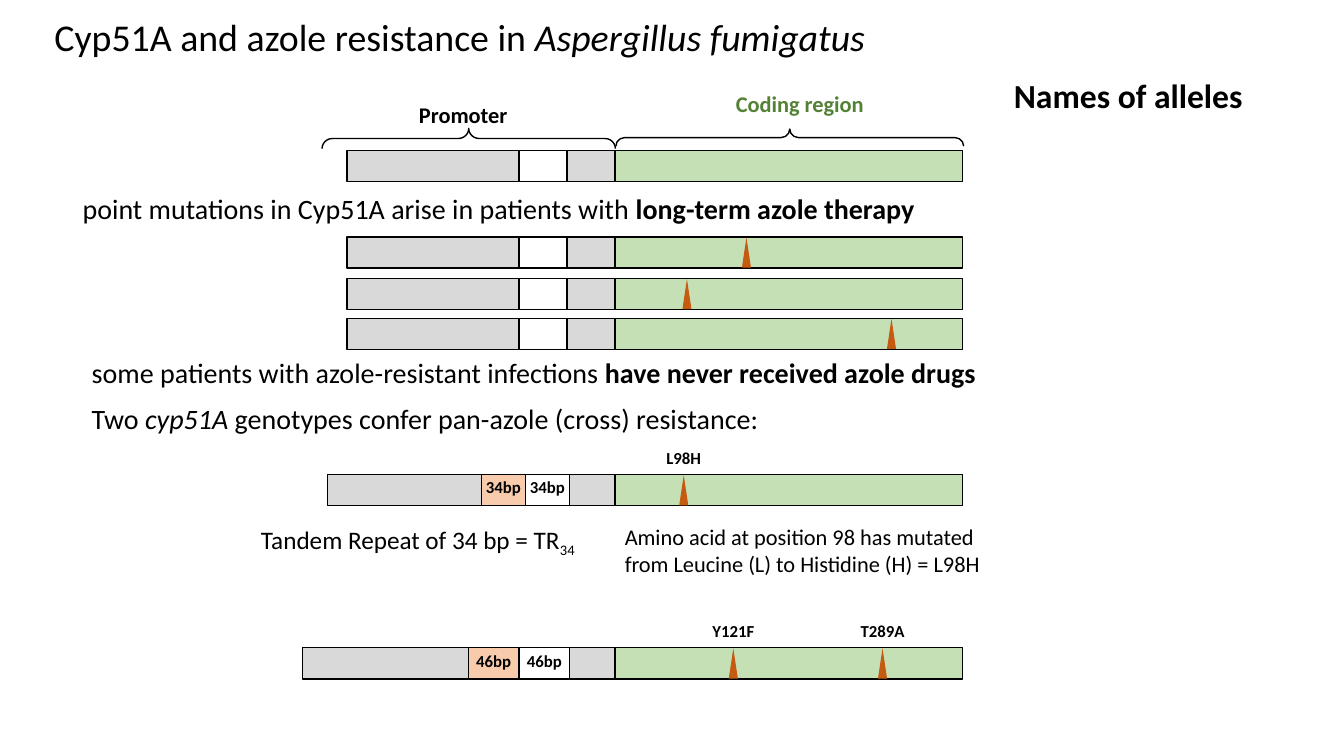
from pptx import Presentation
from pptx.dml.color import RGBColor
from pptx.enum import shapes, text
from pptx.util import Pt

BLACK = RGBColor(0x00, 0x00, 0x00)
GREY = RGBColor(0xD9, 0xD9, 0xD9)
GREEN = RGBColor(0xC5, 0xE0, 0xB4)
DARK_GREEN = RGBColor(0x54, 0x82, 0x35)
PEACH = RGBColor(0xF8, 0xCB, 0xAD)
ORANGE = RGBColor(0xC5, 0x5A, 0x11)

BAR_HEIGHT = 22.3
CODING_LEFT, CODING_RIGHT = 439.2, 687.6
MARKER_WIDTH = 6.5

deck = Presentation()
deck.slide_width, deck.slide_height = Pt(960), Pt(540)
page = deck.slides.add_slide(deck.slide_layouts[5])


def add_span(words, para, size=20, bold=False, italic=False, color=BLACK):
    span = para.add_run()
    span.text = words
    span.font.name = "Calibri"
    span.font.size = Pt(size)
    span.font.bold = bold
    span.font.italic = italic
    span.font.color.rgb = color
    return span


def add_label(words, left, top, width, height, align=text.PP_ALIGN.LEFT, wrap=False, **style):
    box = page.shapes.add_textbox(Pt(left), Pt(top), Pt(width), Pt(height))
    box.text_frame.word_wrap = wrap
    box.text_frame.auto_size = text.MSO_AUTO_SIZE.SHAPE_TO_FIT_TEXT
    para = box.text_frame.paragraphs[0]
    para.alignment = align
    add_span(words, para, **style)
    return box


title = page.shapes.title
title.left, title.top, title.width, title.height = Pt(31.7), Pt(-11.5), Pt(658), Pt(78.5)
title.text_frame.auto_size = text.MSO_AUTO_SIZE.NONE
title.text_frame.vertical_anchor = text.MSO_ANCHOR.MIDDLE
heading = title.text_frame.paragraphs[0]
heading.alignment = text.PP_ALIGN.LEFT
heading.line_spacing = 0.9
add_span("Cyp51A and azole resistance in ", heading, size=27)
add_span("Aspergillus fumigatus", heading, size=27, italic=True)

plain_edges = [248, 370.8, 405, CODING_LEFT, CODING_RIGHT]
plain_fills = [GREY, None, GREY, GREEN]
repeat_fills = [GREY, PEACH, None, GREY, GREEN]
genes = [
    (107.3, plain_edges, plain_fills, None, []),
    (169.2, plain_edges, plain_fills, None, [(533.2, None)]),
    (198.9, plain_edges, plain_fills, None, [(490.7, None)]),
    (227.3, plain_edges, plain_fills, None, [(636.8, None)]),
    (339, [234, 343.8, 375.3, 406.8, CODING_LEFT, CODING_RIGHT], repeat_fills,
     "34bp", [(488.4, "L98H")]),
    (462.7, [216, 334.5, 370.8, 406.8, CODING_LEFT, CODING_RIGHT], repeat_fills,
     "46bp", [(523.8, "Y121F"), (630.4, "T289A")]),
]
for top, edges, fills, repeat, mutations in genes:
    for left, right, fill in zip(edges, edges[1:], fills):
        segment = page.shapes.add_shape(
            shapes.MSO_SHAPE.RECTANGLE, Pt(left), Pt(top), Pt(right - left), Pt(BAR_HEIGHT))
        segment.shadow.inherit = False
        segment.line.color.rgb = BLACK
        segment.line.width = Pt(1)
        if fill is None:
            segment.fill.background()
        else:
            segment.fill.solid()
            segment.fill.fore_color.rgb = fill
        if repeat and fill in (PEACH, None):
            add_label(repeat, (left + right) / 2 - 20, top - 1.8, 40, 21.8,
                      align=text.PP_ALIGN.CENTER, size=12, bold=True)
    for center, name in mutations:
        marker = page.shapes.add_shape(
            shapes.MSO_SHAPE.ISOSCELES_TRIANGLE, Pt(center - MARKER_WIDTH / 2), Pt(top + 0.4),
            Pt(MARKER_WIDTH), Pt(21.6))
        marker.shadow.inherit = False
        marker.fill.solid()
        marker.fill.fore_color.rgb = ORANGE
        marker.line.fill.background()
        if name:
            add_label(name, center - 23, top - 23, 46, 21.8,
                      align=text.PP_ALIGN.CENTER, size=12, bold=True)

for left, top, width, height in [(327.6, -5.8, 14.4, 209.5), (558, -25.9, 12.2, 248.4)]:
    brace = page.shapes.add_shape(
        shapes.MSO_SHAPE.LEFT_BRACE, Pt(left), Pt(top), Pt(width), Pt(height))
    brace.rotation = 90
    brace.adjustments[0] = 0.516
    brace.shadow.inherit = False
    brace.fill.background()
    brace.line.color.rgb = BLACK
    brace.line.width = Pt(1)

add_label("Promoter", 291.6, 68.4, 78.5, 26.6,
          align=text.PP_ALIGN.CENTER, size=16, bold=True)
add_label("Coding region", 517.7, 60.8, 107.3, 26.6,
          align=text.PP_ALIGN.CENTER, size=16, bold=True, color=DARK_GREEN)
add_label("Names of alleles", 717.1, 49.7, 179.3, 36, size=24, bold=True)
add_label("Amino acid at position 98 has mutated from Leucine (L) to Histidine (H) = L98H",
          439.2, 370.1, 298.1, 46.1, wrap=True, size=16)
tandem = add_label("Tandem Repeat of 34 bp = TR", 179.3, 370.8, 243.4, 28.8, size=18)
subscript = add_span("34", tandem.text_frame.paragraphs[0], size=18)
subscript.font._element.set("baseline", "-25000")

statements = [
    (43.2, 132.5, 690.5, 41.8, [
        ("point mutations in Cyp51A arise in patients with ", {}),
        ("long-term azole therapy", {"bold": True})]),
    (49.7, 249.8, 699.1, 44.6, [
        ("some patients with azole-resistant infections ", {}),
        ("have never received azole drugs", {"bold": True})]),
    (49.7, 282.2, 699.1, 43.2, [
        ("Two ", {}),
        ("cyp51A ", {"italic": True}),
        ("genotypes confer pan-azole (cross) resistance:", {})]),
]
for left, top, width, height, spans in statements:
    statement = add_label(spans[0][0], left, top, width, height, wrap=True)
    frame = statement.text_frame
    frame.auto_size = text.MSO_AUTO_SIZE.NONE
    frame.margin_left = Pt(15.8)
    frame.margin_top = frame.margin_right = frame.margin_bottom = Pt(7.2)
    frame.paragraphs[0].line_spacing = 0.9
    for words, style in spans[1:]:
        add_span(words, frame.paragraphs[0], **style)

deck.save("out.pptx")
